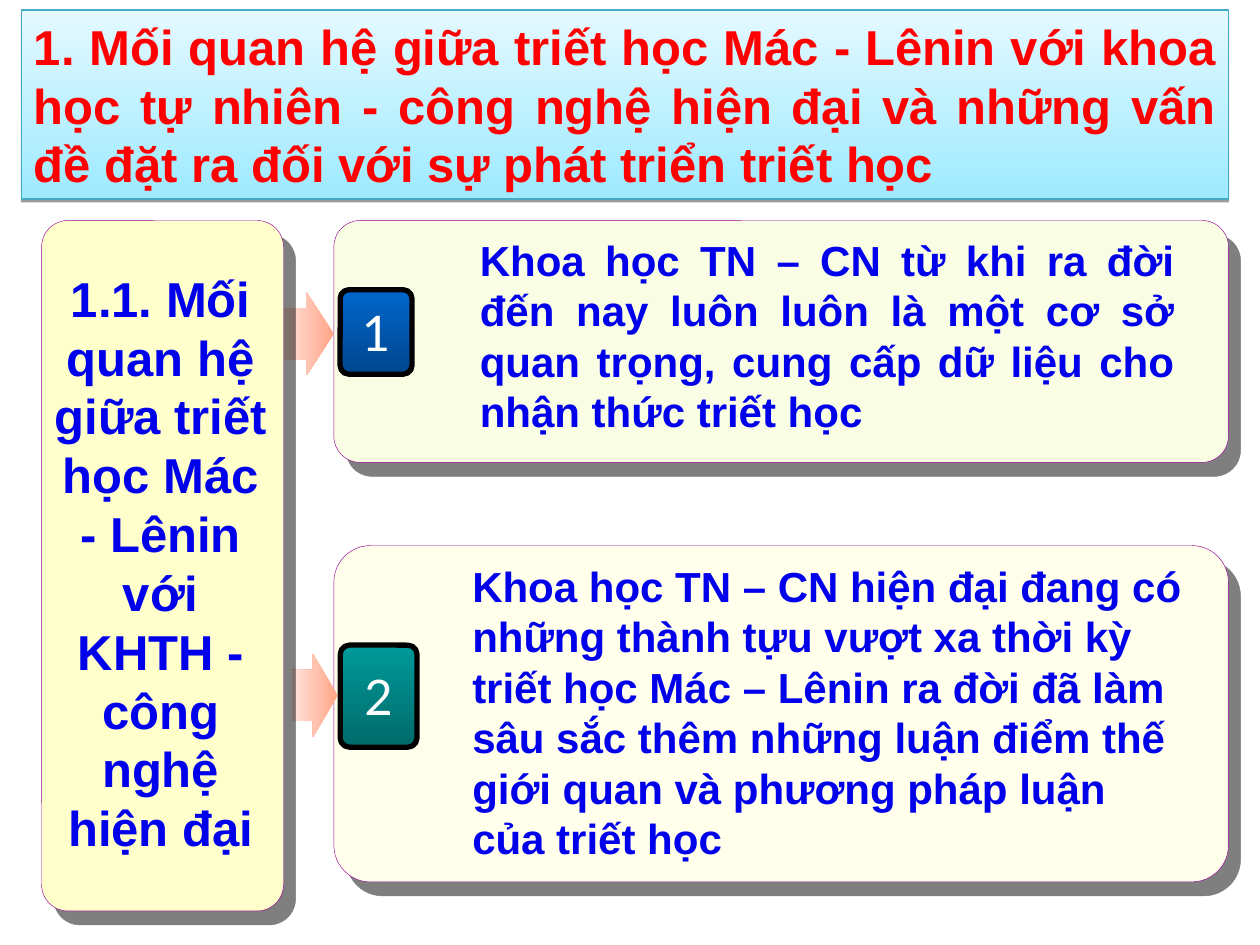
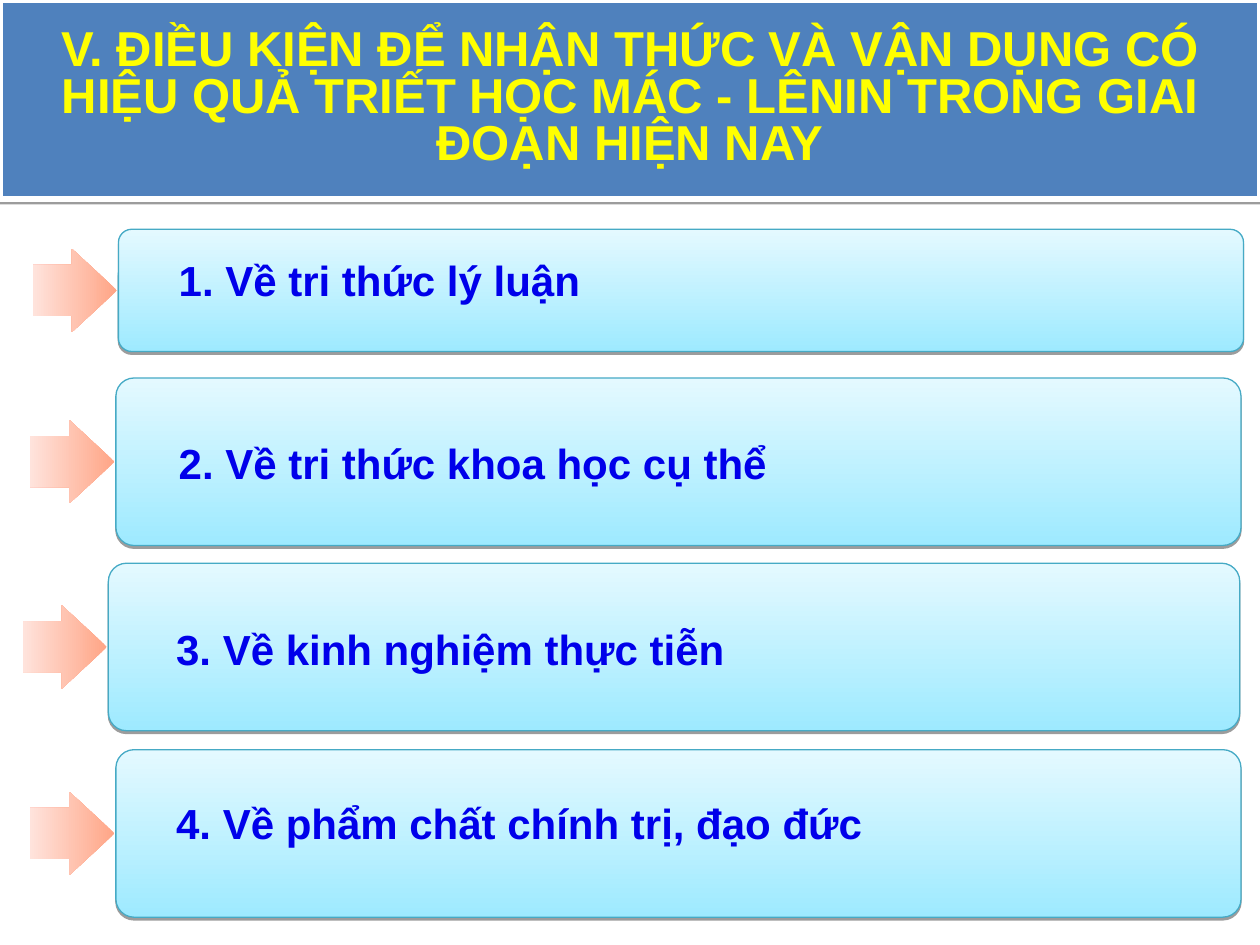
from lxml import etree
from pptx import Presentation
from pptx import util as u
from pptx.dml.color import RGBColor
from pptx.enum import shapes, text
from pptx.oxml.ns import qn

RECT = shapes.MSO_SHAPE.RECTANGLE
ROUND = shapes.MSO_SHAPE.ROUNDED_RECTANGLE
ARROW = shapes.MSO_SHAPE.RIGHT_ARROW
LEFT, CENTER, JUSTIFY = text.PP_ALIGN.LEFT, text.PP_ALIGN.CENTER, text.PP_ALIGN.JUSTIFY
TOP, MIDDLE = text.MSO_ANCHOR.TOP, text.MSO_ANCHOR.MIDDLE

# Gradients: start colour, end colour, counter-clockwise angle.
# Shadows: opacity in percent, distance in points, direction in degrees.
THEME = {
    "sky": {"fill": ("9EEAFF", "E4F9FF", 90), "line": ("46AAC5", 0.75), "shadow": (38, 1.6, 90)},
    "banner": {"fill": "4F81BD", "line": ("FFFFFF", 3), "shadow": (38, 1.6, 90)},
    "arrow": {"fill": ("FFA586", "FFE3DC", 180), "adj": (0.613, 0.544)},
    "card": {"line": ("990099", 0.25), "shadow": (50, 10.6, 49)},
    "badge": {"line": ("000000", 3), "adj": (0.12,)},
    "corner": (0.109,),
    "title": {"size": u.Pt(28), "name": "Arial", "bold": True},
    "body": {"size": u.Pt(24), "name": "Arial", "bold": True},
    "number": {"size": u.Pt(28), "name": "Lato", "bold": False},
    "red": "FF0000", "yellow": "FFFF00", "blue": "0000EA", "white": "FFFFFF",
}


def add_box(s, kind, at, fill, line=None, shadow=None, adj=None):
    """Draw a preset shape with a solid or gradient fill and an optional hard shadow."""
    sp = s.shapes.add_shape(kind, *map(u.Inches, at))
    if isinstance(fill, str):
        sp.fill.solid()
        sp.fill.fore_color.rgb = RGBColor.from_string(fill)
    else:
        sp.fill.gradient()
        sp.fill.gradient_angle = fill[2]
        for stop, colour in zip(sp.fill.gradient_stops, fill):
            stop.color.rgb = RGBColor.from_string(colour)
    if line:
        sp.line.color.rgb = RGBColor.from_string(line[0])
        sp.line.width = u.Pt(line[1])
    else:
        sp.line.fill.background()
    if kind == ROUND and adj is None:
        adj = THEME["corner"]
    for i, value in enumerate(adj or ()):
        sp.adjustments[i] = value
    sp.shadow.inherit = False
    if shadow:
        opacity, distance, direction = shadow
        effects = sp._element.spPr.find(qn("a:effectLst"))
        outer = etree.SubElement(effects, qn("a:outerShdw"), blurRad="0", dist=str(u.Pt(distance)),
                                 dir=str(direction * 60000), algn="ctr", rotWithShape="0")
        black = etree.SubElement(outer, qn("a:srgbClr"), val="000000")
        etree.SubElement(black, qn("a:alpha"), val=str(opacity * 1000))
    return sp


def write(sp, words, style, colour, align=LEFT, anchor=TOP, wrap=True, spacing=None):
    tf = sp.text_frame
    frame = {"word_wrap": wrap, "vertical_anchor": anchor}
    for name, value in frame.items():
        setattr(tf, name, value)
    p = tf.paragraphs[0]
    p.alignment = align
    p.line_spacing = spacing
    r = p.add_run()
    r.text = words
    for name, value in THEME[style].items():
        setattr(r.font, name, value)
    r.font.color.rgb = RGBColor.from_string(THEME[colour])


prs = Presentation()
prs.slide_width, prs.slide_height = u.Inches(10), u.Inches(7.5)
blank = prs.slide_layouts[6]

# Slide 1: one topic leading to two numbered points
s = prs.slides.add_slide(blank)
title = add_box(s, RECT, (0.17, 0.08, 9.58, 1.5), **THEME["sky"])
write(title, "1. Mối quan hệ giữa triết học Mác - Lênin với khoa học tự nhiên - công nghệ hiện đại "
      "và những vấn đề đặt ra đối với sự phát triển triết học", "title", "red", JUSTIFY)

points = [
    {"card": (2.65, 1.75, 7.1, 1.92), "tint": "F9FDE3", "badge": (2.7, 2.3, 0.57, 0.67),
     "shade": ("0066CC", "00478E", 270), "arrow": (2.25, 2.32, 0.4, 0.66),
     "text": (3.71, 1.81, 5.71, 1.7), "align": JUSTIFY,
     "words": "Khoa học TN – CN từ khi ra đời đến nay luôn luôn là một cơ sở quan trọng, "
              "cung cấp dữ liệu cho nhận thức triết học"},
    {"card": (2.65, 4.33, 7.1, 2.67), "tint": "FFFFEB", "badge": (2.7, 5.12, 0.61, 0.81),
     "shade": ("009999", "006B6B", 270), "arrow": (2.32, 5.19, 0.36, 0.66),
     "text": (3.65, 4.4, 5.83, 2.5), "align": LEFT,
     "words": "Khoa học TN – CN hiện đại đang có những thành tựu vượt xa thời kỳ triết học "
              "Mác – Lênin ra đời đã làm sâu sắc thêm những luận điểm thế giới quan và "
              "phương pháp luận của triết học"},
]
for number, point in enumerate(points, 1):
    add_box(s, ROUND, point["card"], point["tint"], **THEME["card"])
    badge = add_box(s, ROUND, point["badge"], point["shade"], **THEME["badge"])
    write(badge, str(number), "number", "white", CENTER, MIDDLE, wrap=False)
    box = s.shapes.add_textbox(*map(u.Inches, point["text"]))
    write(box, point["words"], "body", "blue", point["align"])
    add_box(s, ARROW, point["arrow"], **THEME["arrow"])

add_box(s, ROUND, (0.33, 1.75, 1.92, 5.48), "FFFFCC", **THEME["card"])
topic = s.shapes.add_textbox(*map(u.Inches, (0.33, 2.08, 1.89, 4.77)))
write(topic, "1.1. Mối quan hệ giữa triết học Mác - Lênin với KHTH - công nghệ hiện đại",
      "title", "blue", CENTER)

# Slide 2: four conditions, each bar with an arrow touching its left edge
s = prs.slides.add_slide(blank)
banner = add_box(s, RECT, (0, 0, 10, 1.58), **THEME["banner"])
write(banner, "V. ĐIỀU KIỆN ĐỂ NHẬN THỨC VÀ VẬN DỤNG CÓ HIỆU QUẢ TRIẾT HỌC MÁC - LÊNIN "
      "TRONG GIAI ĐOẠN HIỆN NAY", "title", "yellow", CENTER, MIDDLE, spacing=u.Pt(27))

arrow_w, arrow_h = 0.67, 0.66
conditions = [  # bar, text left and top, words
    ((0.94, 1.82, 8.93, 0.97), (1.32, 1.97), "1. Về tri thức lý luận"),
    ((0.92, 3, 8.93, 1.33), (1.32, 3.42), "2. Về tri thức khoa học cụ thể"),
    ((0.86, 4.47, 8.98, 1.33), (1.3, 4.9), "3. Về kinh nghiệm thực tiễn"),
    ((0.92, 5.95, 8.93, 1.33), (1.3, 6.28), "4. Về phẩm chất chính trị, đạo đức"),
]
for bar, text_at, words in conditions:
    add_box(s, ROUND, bar, **THEME["sky"])
    left, top, width, height = bar
    add_box(s, ARROW, (left - arrow_w - 0.01, top + (height - arrow_h) / 2, arrow_w, arrow_h),
            **THEME["arrow"])
    box = s.shapes.add_textbox(*map(u.Inches, (*text_at, 8.2, 0.5)))
    write(box, words, "body", "blue", JUSTIFY)

prs.save("out.pptx")
